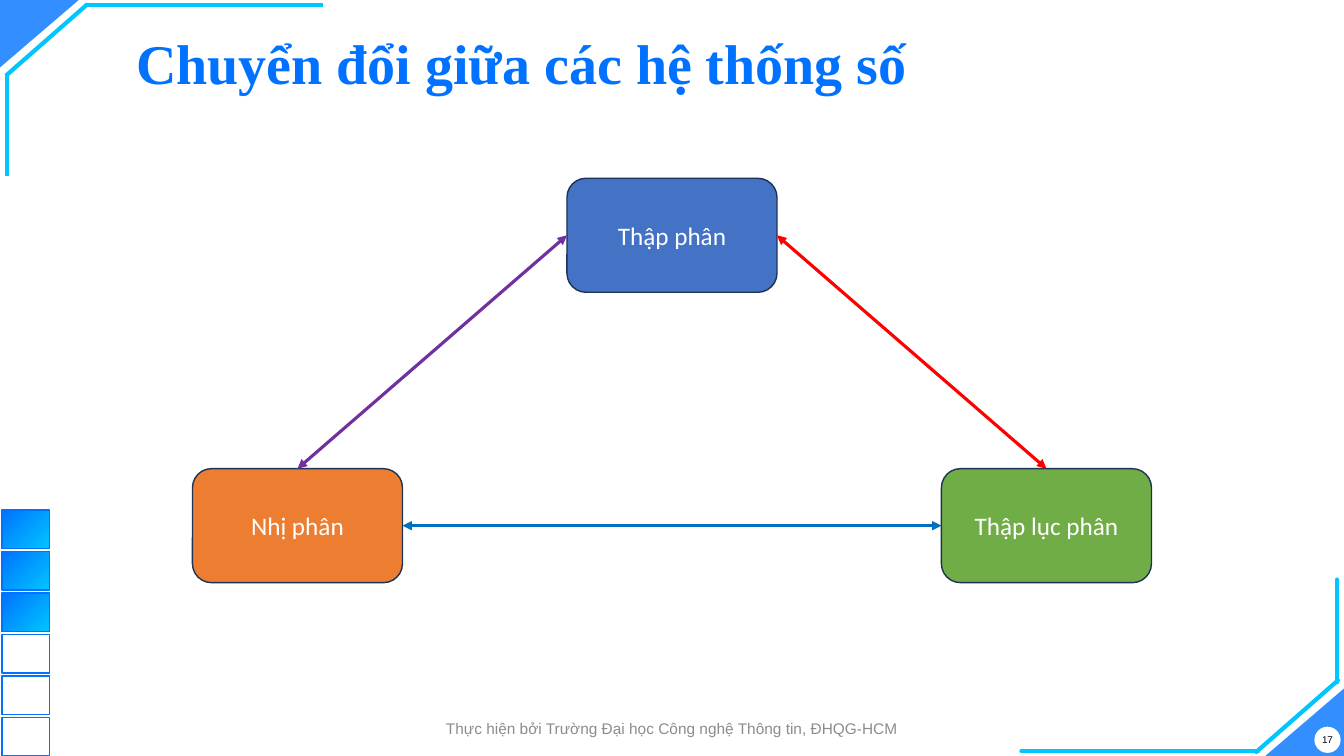
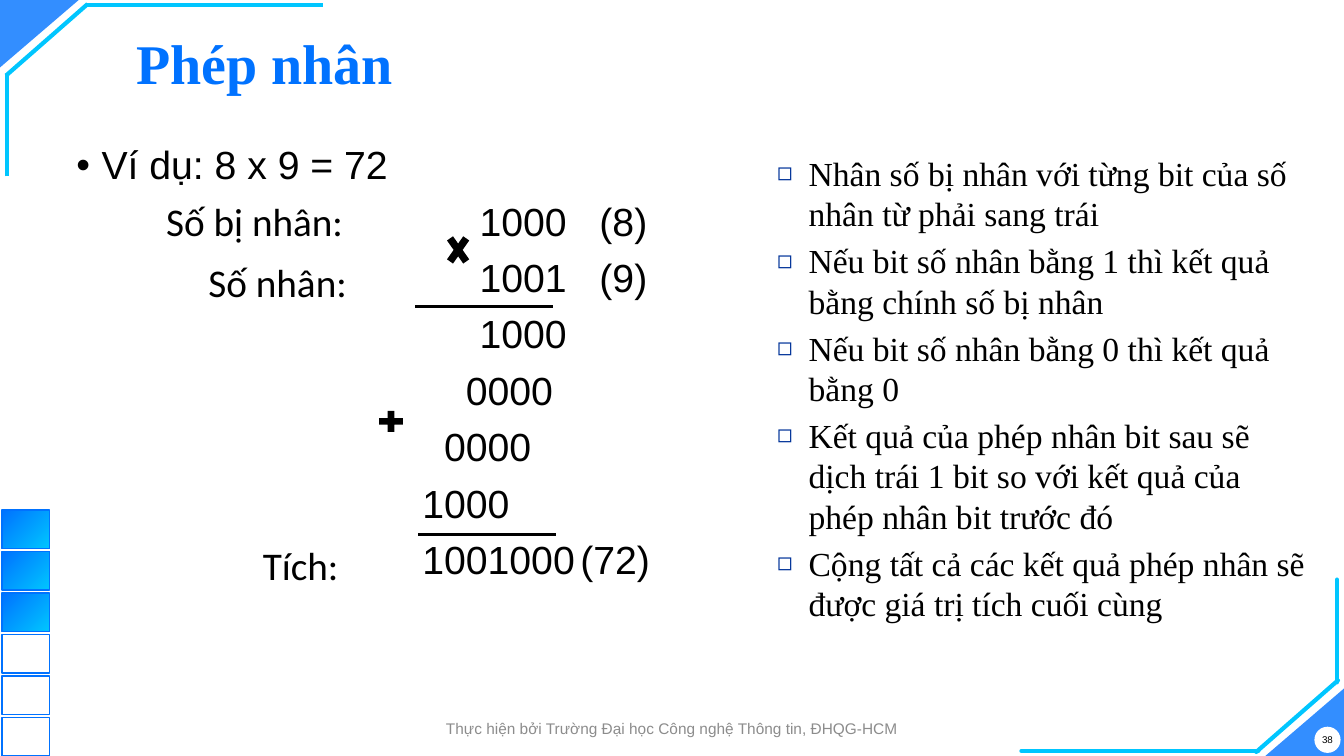
from lxml.etree import SubElement
from pptx import Presentation
from pptx.dml.color import RGBColor
from pptx.enum.shapes import MSO_CONNECTOR, MSO_SHAPE
from pptx.enum.text import MSO_ANCHOR, PP_ALIGN
from pptx.oxml.ns import qn
from pptx.util import Pt


class Theme:
    blue = RGBColor(0x00, 0x72, 0xFF)
    cyan = RGBColor(0x00, 0xC6, 0xFF)
    white = RGBColor(0xFF, 0xFF, 0xFF)
    black = RGBColor(0x00, 0x00, 0x00)
    grey = RGBColor(0x8C, 0x8C, 0x8C)
    navy = RGBColor(0x1E, 0x32, 0x56)
    bullet = RGBColor(0x00, 0x33, 0x99)
    decimal = RGBColor(0x44, 0x72, 0xC4)
    binary = RGBColor(0xED, 0x7D, 0x31)
    hexadecimal = RGBColor(0x70, 0xAD, 0x47)
    purple = RGBColor(0x70, 0x30, 0xA0)
    red = RGBColor(0xFF, 0x00, 0x00)
    link_blue = RGBColor(0x00, 0x70, 0xC0)
    serif, sans, label = "Times New Roman", "Arial", "Calibri"
    title_size, body_size, note_size = 40, 28, 24
    node_size, footer_size, number_size = 18, 11, 7


WIDTH, HEIGHT = 960, 540
FOOTER = "Thực hiện bởi Trường Đại học Công nghệ Thông tin, ĐHQG-HCM"

# Top-left corner; the bottom-right one is its point reflection.
CORNER_LINES = [
    (230.4, 3.6, 61.2, 3.6),
    (62.6, 2.9, 4.3, 54),
    (5, 126, 5, 52.6),
]
CORNER_WIDTH, CORNER_HEIGHT = 56.2, 48.2
SQUARE_COUNT, FILLED_SQUARES = 6, 3
SQUARE_TOP, SQUARE_PITCH = 364.3, 29.66

CONVERSION_TITLE = "Chuyển đổi giữa các hệ thống số"
NODE_WIDTH, NODE_HEIGHT = 150, 81.4
NODES = {  # name: (left, top, colour)
    "Thập phân": (405, 127.4, Theme.decimal),
    "Nhị phân": (137.5, 334.8, Theme.binary),
    "Thập lục phân": (672.5, 334.8, Theme.hexadecimal),
}
TOP, LEFT, RIGHT = 0, 1, 3  # connection sites of a rounded rectangle
LINKS = [
    ("Nhị phân", TOP, "Thập phân", LEFT, Theme.purple),
    ("Thập lục phân", TOP, "Thập phân", RIGHT, Theme.red),
    ("Nhị phân", RIGHT, "Thập lục phân", LEFT, Theme.link_blue),
]

PRODUCT_TITLE = "Phép nhân"
EXAMPLE = "Ví dụ: 8 x 9 = 72"
NUMBER_ROWS = [  # pairs of tab stop and the text that starts there
    [(288, "1000"), (373.6, "(8)")],
    [(288, "1001"), (373.6, "(9)")],
    [(288, "1000")],
    [(278.2, "0000")],
    [(262.7, "0000")],
    [(247.1, "1000")],
    [(247.1, "1001000"), (360, "(72)")],
]
ROW_LABELS = [  # text, left, top, width
    ("Số bị nhân:", 111.6, 137.5, 143.3),
    ("Số nhân:", 141.8, 180.7, 114.5),
    ("Tích:", 180.7, 383, 74.2),
]
SUM_LINES = [(296.6, 218.9), (298.8, 381.6)]
SUM_LINE_WIDTH = 98.6
OPERATORS = [
    (MSO_SHAPE.MATH_MULTIPLY, (316.1, 162.7, 22.3, 31.7)),
    (MSO_SHAPE.MATH_PLUS, (267.8, 290.9, 23, 20.2)),
]
STEPS = [
    "Nhân số bị nhân với từng bit của số nhân từ phải sang trái",
    "Nếu bit số nhân bằng 1 thì kết quả bằng chính số bị nhân",
    "Nếu bit số nhân bằng 0 thì kết quả bằng 0",
    "Kết quả của phép nhân bit sau sẽ dịch trái 1 bit so với kết quả của "
    "phép nhân bit trước đó",
    "Cộng tất cả các kết quả phép nhân sẽ được giá trị tích cuối cùng",
]


def set_font(paragraph, name, size, color, bold=False):
    font = paragraph.font
    font.name, font.size, font.bold = name, Pt(size), bold
    font.color.rgb = color


def add_preset(slide, preset, box, fill=None, line=None, line_width=1):
    shape = slide.shapes.add_shape(preset, *map(Pt, box))
    shape.shadow.inherit = False
    if fill is None:
        shape.fill.background()
    else:
        shape.fill.solid()
        shape.fill.fore_color.rgb = fill
    if line is None:
        shape.line.fill.background()
    else:
        shape.line.color.rgb = line
        shape.line.width = Pt(line_width)
    return shape


def add_line(slide, ends, color, width):
    connector = slide.shapes.add_connector(MSO_CONNECTOR.STRAIGHT, *map(Pt, ends))
    connector.line.color.rgb = color
    connector.line.width = Pt(width)
    SubElement(connector._element.spPr, qn("a:effectLst"))
    return connector


def add_text_box(slide, box, anchor=MSO_ANCHOR.TOP, wrap=True):
    frame = slide.shapes.add_textbox(*map(Pt, box)).text_frame
    frame.word_wrap = wrap
    frame.vertical_anchor = anchor
    return frame


def add_paragraph(frame, text, space_before=0):
    """Fill the frame's first paragraph, or append one with space before it."""
    paragraph = frame.paragraphs[0]
    if paragraph.runs:
        paragraph = frame.add_paragraph()
        paragraph.space_before = Pt(space_before)
    paragraph.add_run().text = text
    return paragraph


def add_bullet(paragraph, character, left, hanging, color, percent=100):
    properties = paragraph._p.get_or_add_pPr()
    properties.set("marL", str(Pt(left)))
    properties.set("indent", str(Pt(-hanging)))
    SubElement(SubElement(properties, qn("a:buClr")), qn("a:srgbClr"), val=str(color))
    SubElement(properties, qn("a:buSzPct"), val=str(percent * 1000))
    SubElement(properties, qn("a:buFont"), typeface=Theme.sans)
    SubElement(properties, qn("a:buChar"), char=character)


def add_tab_stops(paragraph, positions):
    tabs = SubElement(paragraph._p.get_or_add_pPr(), qn("a:tabLst"))
    for position in positions:
        SubElement(tabs, qn("a:tab"), pos=str(Pt(position)), algn="l")


def center_text(frame, text, *font):
    frame.margin_left = frame.margin_right = 0
    frame.margin_top = frame.margin_bottom = 0
    frame.vertical_anchor = MSO_ANCHOR.MIDDLE
    paragraph = add_paragraph(frame, text)
    paragraph.alignment = PP_ALIGN.CENTER
    set_font(paragraph, *font)


def add_corners(slide):
    for left, top, rotation in (
        (0, 0, 180),
        (WIDTH - CORNER_WIDTH, HEIGHT - CORNER_HEIGHT, 0),
    ):
        triangle = add_preset(slide, MSO_SHAPE.ISOSCELES_TRIANGLE,
                              (left, top, CORNER_WIDTH, CORNER_HEIGHT), Theme.blue)
        triangle.adjustments[0] = 1
        triangle.rotation = rotation
        color = triangle._element.spPr.find(qn("a:solidFill"))[0]
        SubElement(color, qn("a:alpha"), val="80000")
    for x1, y1, x2, y2 in CORNER_LINES:
        add_line(slide, (x1, y1, x2, y2), Theme.cyan, 3)
        mirrored = (WIDTH - x1, HEIGHT - y1, WIDTH - x2, HEIGHT - y2)
        connector = add_line(slide, mirrored, Theme.cyan, 3)
        connector.line._get_or_add_ln().set("cap", "rnd")


def add_squares(slide):
    for index in range(SQUARE_COUNT):
        top = SQUARE_TOP + index * SQUARE_PITCH
        square = add_preset(slide, MSO_SHAPE.RECTANGLE, (1.4, top, 34.2, 27.4),
                            line=Theme.blue)
        if index < FILLED_SQUARES:
            square.fill.gradient()
            square.fill.gradient_angle = 315
            for stop, color in zip(square.fill.gradient_stops, (Theme.blue, Theme.cyan)):
                stop.color.rgb = color


def add_framed_slide(presentation, title, number):
    """Add a blank slide with the shared decoration, title, footer and number."""
    slide = presentation.slides.add_slide(presentation.slide_layouts[6])
    add_corners(slide)
    add_squares(slide)
    disc = add_preset(slide, MSO_SHAPE.OVAL, (938.9, 519.1, 18.7, 18.7), Theme.white)
    disc.text_frame.word_wrap = False
    center_text(disc.text_frame, str(number), Theme.sans, Theme.number_size, Theme.black)
    heading = add_paragraph(
        add_text_box(slide, (90.3, 12, 828, 70.6), MSO_ANCHOR.MIDDLE), title)
    heading.line_spacing = 0.9
    set_font(heading, Theme.serif, Theme.title_size, Theme.blue, True)
    footer = add_text_box(slide, (287, 509.8, 386, 20.9))
    center_text(footer, FOOTER, Theme.sans, Theme.footer_size, Theme.grey)
    return slide


def build_conversion(presentation):
    slide = add_framed_slide(presentation, CONVERSION_TITLE, 17)
    nodes = {}
    for name, (left, top, color) in NODES.items():
        nodes[name] = add_preset(slide, MSO_SHAPE.ROUNDED_RECTANGLE,
                                 (left, top, NODE_WIDTH, NODE_HEIGHT), color, Theme.navy)
        center_text(nodes[name].text_frame, name, Theme.label, Theme.node_size, Theme.white)
    for start, start_site, end, end_site, color in LINKS:
        connector = add_line(slide, (0, 0, 0, 0), color, 2.25)
        connector.begin_connect(nodes[start], start_site)
        connector.end_connect(nodes[end], end_site)
        for tip in ("a:headEnd", "a:tailEnd"):
            SubElement(connector.line._get_or_add_ln(), qn(tip), type="triangle")


def build_product(presentation):
    slide = add_framed_slide(presentation, PRODUCT_TITLE, 38)

    body = add_text_box(slide, (47.5, 100.8, 429, 380))
    add_bullet(add_paragraph(body, EXAMPLE), "•", 18, 18, Theme.black)
    for row in NUMBER_ROWS:
        text = "".join("\t" + part for _, part in row)
        add_tab_stops(add_paragraph(body, text, 10), [stop for stop, _ in row])
    for paragraph in body.paragraphs:
        paragraph.line_spacing = 0.9
        set_font(paragraph, Theme.sans, Theme.body_size, Theme.black)

    for preset, box in OPERATORS:
        add_preset(slide, preset, box, Theme.black)
    for left, top in SUM_LINES:
        add_line(slide, (left, top, left + SUM_LINE_WIDTH, top), Theme.black, 2)
    for text, left, top, width in ROW_LABELS:
        label = add_paragraph(add_text_box(slide, (left, top, width, 41), wrap=False), text)
        set_font(label, Theme.label, Theme.body_size, Theme.black)

    steps = add_text_box(slide, (512, 105.7, 429, 380))
    for text in STEPS:
        step = add_paragraph(steps, text, 4.8)
        add_bullet(step, "◻", 58.5, 22.5, Theme.bullet, 75)
        set_font(step, Theme.serif, Theme.note_size, Theme.black)


def main():
    presentation = Presentation()
    presentation.slide_width, presentation.slide_height = Pt(WIDTH), Pt(HEIGHT)
    build_conversion(presentation)
    build_product(presentation)
    presentation.save("out.pptx")


if __name__ == "__main__":
    main()
